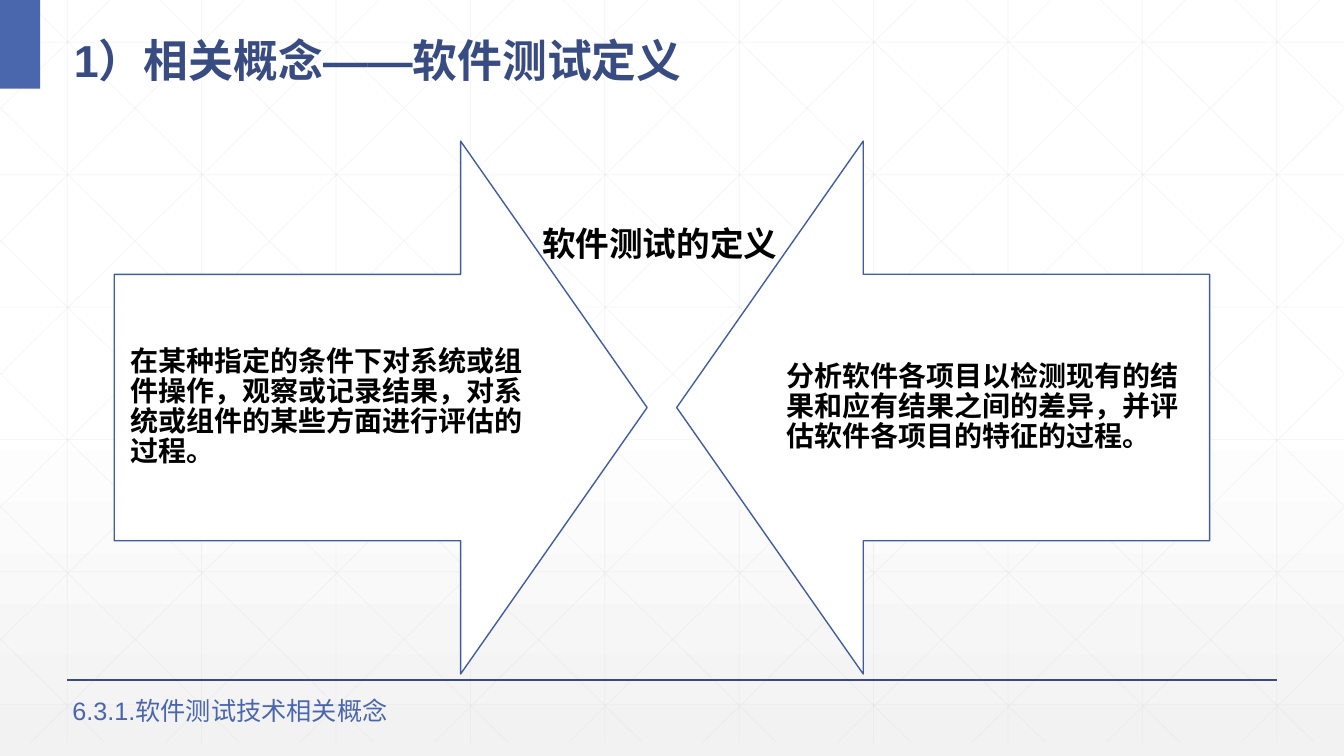
from lxml import etree
from pptx import Presentation
from pptx.dml.color import RGBColor
from pptx.enum.lang import MSO_LANGUAGE_ID
from pptx.enum.shapes import MSO_CONNECTOR, MSO_SHAPE
from pptx.enum.text import MSO_ANCHOR, MSO_AUTO_SIZE, PP_ALIGN
from pptx.oxml.ns import qn
from pptx.util import Inches, Pt

STRAIGHT = MSO_CONNECTOR.STRAIGHT
RECTANGLE = MSO_SHAPE.RECTANGLE
DOWN_ARROW = MSO_SHAPE.DOWN_ARROW
MIDDLE, TOP = MSO_ANCHOR.MIDDLE, MSO_ANCHOR.TOP
LEFT = PP_ALIGN.LEFT
NO_AUTOFIT = MSO_AUTO_SIZE.NONE
CHINESE = MSO_LANGUAGE_ID.SIMPLIFIED_CHINESE

FONT = "Arial"
COLORS = {
    "paper": "FFFFFF", "shade": "F2F2F2", "lattice": "D9D9D9",
    "dark": "384C81", "accent": "4A66AC", "outline": "435D9C", "text": "000000",
}
# The slide is 20 columns wide; rows are as high as columns are wide.
COLUMNS, ROWS = 20, 11.25
CELL = Inches(13.333) / COLUMNS
LATTICE_BOTTOM = 11.05
DIAGONAL_RUN = 11.18


def color(name):
    return RGBColor.from_string(COLORS[name])


def grid(*lengths):
    return [round(length * CELL) for length in lengths]


def add_line(slide, start, end, color_name, width, opacity=100):
    connector = slide.shapes.add_connector(STRAIGHT, *grid(*start, *end))
    connector.line.color.rgb = color(color_name)
    connector.line.width = Pt(width)
    if opacity < 100:
        fill_color = connector.line._get_or_add_ln().find(".//" + qn("a:srgbClr"))
        etree.SubElement(fill_color, qn("a:alpha")).set("val", str(opacity * 1000))
    etree.SubElement(connector._element.spPr, qn("a:effectLst"))


def add_filled_shape(slide, kind, box, fill):
    shape = slide.shapes.add_shape(kind, *grid(*box))
    shape.shadow.inherit = False
    shape.fill.solid()
    shape.fill.fore_color.rgb = color(fill)
    shape.line.fill.background()
    return shape


def write_text(shape, text, size, color_name, bold=True, anchor=TOP,
               wrap=True, spacing=1.0, inset=None):
    frame = shape.text_frame
    frame.text = text
    frame.word_wrap = wrap
    frame.auto_size = NO_AUTOFIT
    frame.vertical_anchor = anchor
    if inset is not None:
        frame.margin_left = frame.margin_right = inset
        frame.margin_top = frame.margin_bottom = inset
    paragraph = frame.paragraphs[0]
    paragraph.alignment = LEFT
    paragraph.line_spacing = spacing
    for run in paragraph.runs:
        run.font.name = FONT
        run.font.size = Pt(size)
        run.font.bold = bold
        run.font.color.rgb = color(color_name)
        run.font.language_id = CHINESE
        east_asian = etree.SubElement(run.font._element, qn("a:ea"))
        east_asian.set("typeface", FONT)


def add_text(slide, box, text, size, color_name, **options):
    write_text(slide.shapes.add_textbox(*grid(*box)), text, size, color_name, **options)


def paint_background(slide):
    fill = slide.background.fill
    fill.gradient()
    fill.gradient_angle = 270
    for stop, name, position in zip(fill.gradient_stops, ("paper", "shade"), (0.53, 1)):
        stop.color.rgb = color(name)
        stop.position = position


def clipped_diagonal(top, direction):
    """Ends of a diagonal that leaves the top edge at column top, cut at the sides."""
    slope = LATTICE_BOTTOM / DIAGONAL_RUN
    bottom = top + direction * DIAGONAL_RUN
    return [(x, abs(x - top) * slope)
            for x in (min(max(column, 0), COLUMNS) for column in (top, bottom))]


def draw_lattice(slide):
    lines = [((x, 0), (x, LATTICE_BOTTOM)) for x in range(1, COLUMNS, 2)]
    for index in range(6):
        y = 0.63 + 1.97 * index
        lines.append(((0, y), (COLUMNS, y)))
    for index in range(15):
        lines.append(clipped_diagonal(0.38 + 2 * (index - 5), 1))
        lines.append(clipped_diagonal(1.64 + 2 * index, -1))
    for start, end in lines:
        add_line(slide, start, end, "lattice", 0.5, opacity=25)


def place_title(slide, box, text):
    title = slide.shapes.title
    title.left, title.top, title.width, title.height = grid(*box)
    write_text(title, text, 32, "dark", anchor=MIDDLE, spacing=1.3)
    slide.shapes.element.append(title.element)


def draw_definition(slide, box, text, points_right):
    """An arrow filling the square box, with its text at the shaft end."""
    left, top, size, _ = box
    arrow = add_filled_shape(slide, DOWN_ARROW, box, "paper")
    arrow.rotation = 270 if points_right else 90
    arrow.adjustments[0] = 0.5
    arrow.adjustments[1] = 0.35
    arrow.line.color.rgb = color("outline")
    arrow.line.width = Pt(1)
    text_width = size * 0.825
    text_left = left if points_right else left + size - text_width
    add_text(slide, (text_left, top + size / 4, text_width, size / 2), text, 20, "text",
             anchor=MIDDLE, spacing=0.9, inset=Inches(0.16))


def build_definition_slide(presentation):
    slide = presentation.slides.add_slide(presentation.slide_layouts[5])
    paint_background(slide)
    draw_lattice(slide)
    add_line(slide, (1, 10.12), (COLUMNS - 1, 10.12), "dark", 1)
    add_filled_shape(slide, RECTANGLE, (0, 0, 0.6, 1.32), "accent")
    place_title(slide, (0.95, 0.21, 18.07, 1.1), "1）相关概念——软件测试定义")
    draw_definition(
        slide, (1.7, 2.1, 7.93, 7.93),
        "在某种指定的条件下对系统或组件操作，观察或记录结果，对系统或组件的某些方面进行评估的过程。",
        points_right=True)
    draw_definition(
        slide, (10.07, 2.1, 7.93, 7.93),
        "分析软件各项目以检测现有的结果和应有结果之间的差异，并评估软件各项目的特征的过程。",
        points_right=False)
    add_text(slide, (7.92, 3.24, 3.84, 0.75), "软件测试的定义", 24, "text", wrap=False)
    add_text(slide, (0.93, 10.28, 6.93, 0.6), "6.3.1.软件测试技术相关概念", 18, "accent",
             bold=False)


def main():
    presentation = Presentation()
    presentation.slide_width, presentation.slide_height = grid(COLUMNS, ROWS)
    build_definition_slide(presentation)
    presentation.save("out.pptx")


if __name__ == "__main__":
    main()
